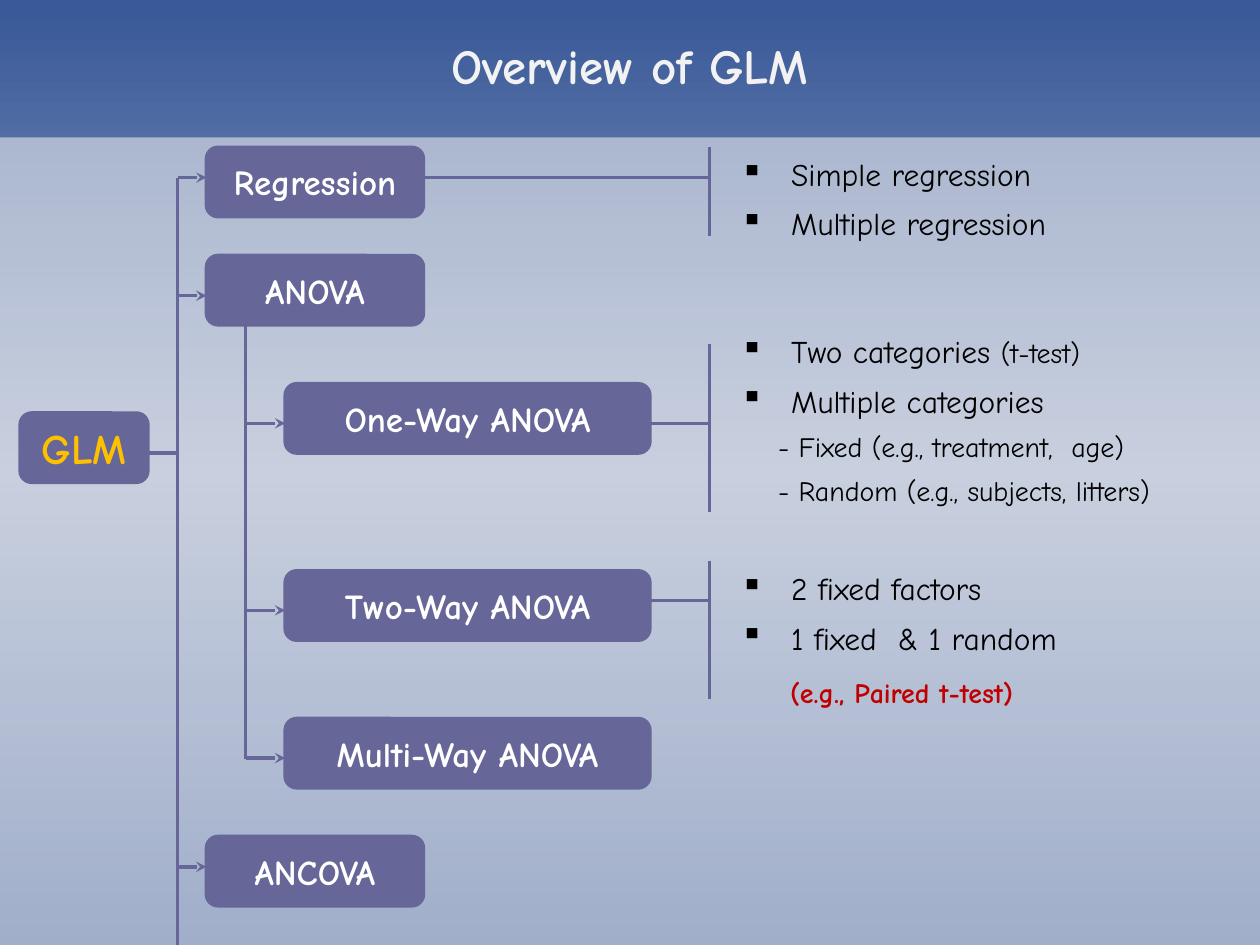
import lxml.etree
import pptx
import pptx.dml.color
import pptx.enum.shapes
import pptx.enum.text
import pptx.oxml
import pptx.oxml.ns
import pptx.util

Pt = pptx.util.Pt
qn = pptx.oxml.ns.qn
ALIGN = pptx.enum.text.PP_ALIGN
SHAPES = pptx.enum.shapes.MSO_SHAPE

FONT = "Comic Neue"
PURPLE, WHITE, PALE = "666699", "FFFFFF", "F2F2F2"
BLACK, GOLD, RED = "000000", "FFC000", "C00000"
WIDTH, HEIGHT = 720, 540
BOX_HEIGHT = 39.6
TRUNK_X, ANOVA_TRUNK_X, BRACKET_X = 101.5, 140.4, 405.4


def color(hex_code):
    return pptx.dml.color.RGBColor.from_string(hex_code)


def add_run(paragraph, words, size, hex_code, bold=False):
    run = paragraph.add_run()
    run.text = words
    run.font.name, run.font.size, run.font.bold = FONT, Pt(size), bold
    run.font.color.rgb = color(hex_code)


def add_line(slide, x1, y1, x2, y2, arrow=False):
    line = slide.shapes.add_connector(
        pptx.enum.shapes.MSO_CONNECTOR.STRAIGHT, Pt(x1), Pt(y1), Pt(x2), Pt(y2))
    line.line.color.rgb = color(PURPLE)
    line.line.width = Pt(2)
    if arrow:
        stroke = line.line._get_or_add_ln()
        lxml.etree.SubElement(stroke, qn("a:tailEnd"), type="stealth")
    lxml.etree.SubElement(line._element.spPr, qn("a:effectLst"))


def add_text_frame(slide, box):
    frame = slide.shapes.add_textbox(*map(Pt, box)).text_frame
    frame.word_wrap = True
    return frame


def add_background(slide):
    """Vertical blue gradient, with a pale veil below the title band."""
    fill = slide.background.fill
    fill.gradient()
    gradient = slide._element.find(".//" + qn("a:gradFill"))
    stops = gradient.find(qn("a:gsLst"))
    for stop in list(stops):
        stops.remove(stop)
    for percent, hex_code in ((0, "3A5998"), (1, "3A5998"), (50, "94A5C7"), (100, "3A5998")):
        stop = lxml.etree.SubElement(stops, qn("a:gs"), pos=str(percent * 1000))
        lxml.etree.SubElement(stop, qn("a:srgbClr"), val=hex_code)
    gradient.find(qn("a:lin")).set("ang", "5400000")

    veil_top = 78.5
    veil = slide.shapes.add_shape(
        SHAPES.RECTANGLE, 0, Pt(veil_top), Pt(WIDTH), Pt(HEIGHT - veil_top))
    veil.shadow.inherit = False
    veil.line.fill.background()
    veil.fill.solid()
    veil.fill.fore_color.rgb = color(PALE)
    veil_color = veil._element.spPr.find(".//" + qn("a:srgbClr"))
    lxml.etree.SubElement(veil_color, qn("a:alpha"), val="56000")


def add_title(slide, box):
    heading = add_text_frame(slide, box).paragraphs[0]
    heading.alignment = ALIGN.CENTER
    heading.line_spacing = 1.5
    add_run(heading, "Overview of GLM", 28, PALE, bold=True)


def add_topic(slide, box, label, size=20, hex_code=WHITE, trunk_x=None, arrow_y=0):
    """Rounded box; an arrow leads to it from its trunk, arrow_y below its top."""
    left, top = box[:2]
    topic = slide.shapes.add_shape(SHAPES.ROUNDED_RECTANGLE, *map(Pt, box))
    topic.shadow.inherit = False
    topic.fill.solid()
    topic.fill.fore_color.rgb = color(PURPLE)
    topic.line.color.rgb = color(PURPLE)
    topic.line.width = Pt(2)
    frame = topic.text_frame
    frame.vertical_anchor = pptx.enum.text.MSO_ANCHOR.MIDDLE
    frame.paragraphs[0].alignment = ALIGN.CENTER
    add_run(frame.paragraphs[0], label, size, hex_code, bold=True)
    if trunk_x is not None:
        add_line(slide, trunk_x, top + arrow_y, left, top + arrow_y, arrow=True)


def add_details(slide, box, items, lead, bracket):
    """Listed cases behind a bracket; lead is where its feeding line starts."""
    lead_x, lead_y = lead
    add_line(slide, lead_x, lead_y, BRACKET_X, lead_y)
    add_line(slide, BRACKET_X, bracket[0], BRACKET_X, bracket[1])
    frame = add_text_frame(slide, box)
    for index, (bulleted, pieces) in enumerate(items):
        item = frame.paragraphs[0] if index == 0 else frame.add_paragraph()
        item.line_spacing = 1.3
        properties = item._p.get_or_add_pPr()
        indent = Pt(29 if bulleted else 21.6)
        properties.set("marL", str(indent))
        properties.set("indent", str(-indent if bulleted else 0))
        if bulleted:
            lxml.etree.SubElement(properties, qn("a:buChar"), char="▪")
        for words, size in pieces:
            add_run(item, words, size, BLACK)


def main():
    deck = pptx.Presentation()
    deck.slide_width, deck.slide_height = Pt(WIDTH), Pt(HEIGHT)
    slide = deck.slides.add_slide(deck.slide_layouts[6])

    add_background(slide)
    add_title(slide, (0, 0, WIDTH, 52.6))

    # Root and its trunk
    add_topic(slide, (11.5, 236, 73, BOX_HEIGHT), "GLM", size=24, hex_code=GOLD)
    add_line(slide, 84.5, 258.8, TRUNK_X, 258.8)
    add_line(slide, TRUNK_X, 101.5, TRUNK_X, HEIGHT)

    # Main branches
    for label, top, arrow_y in (
            ("Regression", 84.2, 17.3), ("ANOVA", 146, 23), ("ANCOVA", 478, 17.3)):
        add_topic(slide, (118, top, 124, BOX_HEIGHT), label,
                  trunk_x=TRUNK_X, arrow_y=arrow_y)

    # Kinds of ANOVA
    add_line(slide, ANOVA_TRUNK_X, 185.6, ANOVA_TRUNK_X, 433.5)
    for label, top in (
            ("One-Way ANOVA", 219.3), ("Two-Way ANOVA", 326.2), ("Multi-Way ANOVA", 410.6)):
        add_topic(slide, (163, top, 208.4, BOX_HEIGHT), label,
                  trunk_x=ANOVA_TRUNK_X, arrow_y=22.6)

    # Cases of each model
    add_details(slide, (416, 78.5, 208, 61),
                [(True, [("Simple regression", 18)]),
                 (True, [("Multiple regression", 18)])],
                lead=(242, 101.5), bracket=(84.2, 135))
    add_details(slide, (416, 180, 304, 114),
                [(True, [("Two categories ", 18), ("(t-test)", 16)]),
                 (True, [("Multiple categories", 18)]),
                 (False, [("- Fixed (e.g., treatment,  age)", 16)]),
                 (False, [("- Random (e.g., subjects, litters)", 16)])],
                lead=(371.4, 242), bracket=(196.8, 292.4))
    add_details(slide, (416, 315.4, 264, 92),
                [(True, [("2 fixed factors", 18)]),
                 (True, [("1 fixed  & 1 random", 18)])],
                lead=(371.4, 343.3), bracket=(320.5, 399.5))
    example = add_text_frame(slide, (444.4, 382.5, 208, 26.6)).paragraphs[0]
    add_run(example, "(e.g., Paired t-test)", 16, RED, bold=True)

    deck.save("out.pptx")


if __name__ == "__main__":
    main()
